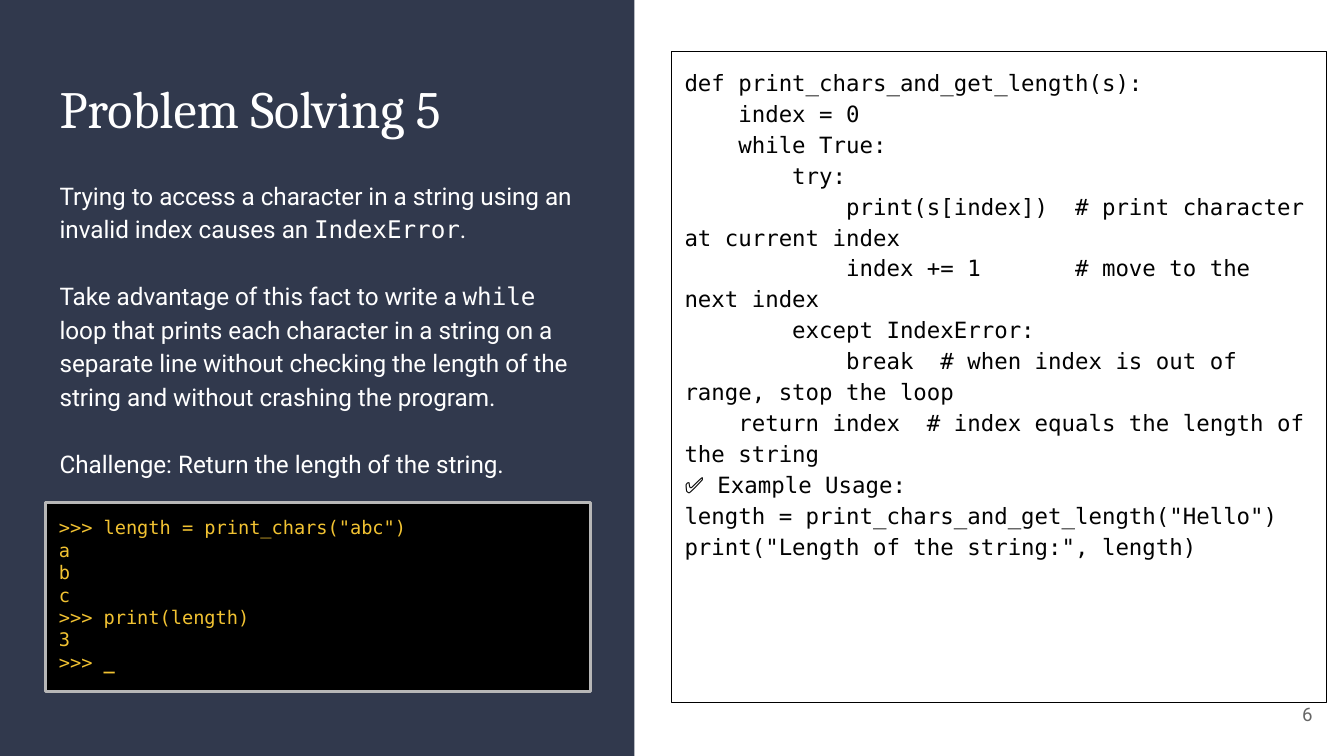
import dataclasses
import typing

import pptx
import pptx.dml.color
import pptx.enum.shapes
import pptx.enum.text
import pptx.util

SCALE = 4572  # EMU per px, 200 px to the inch
WIDE, HIGH = 2000, 1125
PAD = 20
NAVY, WHITE, BLACK = "31394D", "FFFFFF", "000000"
SERIF, SANS, MONO = "Cambria", "Roboto", "DejaVu Sans Mono"
ALIGN = pptx.enum.text.PP_ALIGN
ANCHOR = pptx.enum.text.MSO_ANCHOR


class Run(typing.NamedTuple):
    text: str
    font: str = SANS
    bold: bool = False


Lines = list[list[Run]]


@dataclasses.dataclass
class Panel:
    box: tuple[int, int, int, int]
    lines: Lines
    size: int
    color: str
    fill: str | None = None
    edge: str | None = None
    width: float = 0
    space: float = 1.0
    gap: int = 0
    align: ALIGN = ALIGN.LEFT
    anchor: ANCHOR = ANCHOR.TOP


def px(num: int) -> int:
    return pptx.util.Emu(num * SCALE)


def rgb(code: str) -> pptx.dml.color.RGBColor:
    return pptx.dml.color.RGBColor.from_string(code)


def code(text: str) -> Lines:
    """Turn a listing into one monospaced run per line."""
    return [[Run(line, MONO)] for line in text.strip("\n").split("\n")]


def write(frame, panel: Panel) -> None:
    frame.word_wrap = True
    frame.vertical_anchor = panel.anchor
    frame.margin_left = frame.margin_right = px(PAD)
    frame.margin_top = frame.margin_bottom = px(PAD)
    for i, line in enumerate(panel.lines):
        para = frame.add_paragraph() if i else frame.paragraphs[0]
        para.alignment = panel.align
        para.line_spacing = panel.space
        para.space_before = pptx.util.Pt(panel.gap if i else 0)
        for part in line:
            run = para.add_run()
            run.text = part.text
            run.font.name = part.font
            run.font.size = pptx.util.Pt(panel.size)
            run.font.bold = part.bold
            run.font.color.rgb = rgb(panel.color)


def draw(slide, panel: Panel) -> None:
    box = [px(num) for num in panel.box]
    if panel.fill or panel.edge:
        rect = pptx.enum.shapes.MSO_SHAPE.RECTANGLE
        shape = slide.shapes.add_shape(rect, *box)
        shape.shadow.inherit = False
    else:
        shape = slide.shapes.add_textbox(*box)
    if panel.fill:
        shape.fill.solid()
        shape.fill.fore_color.rgb = rgb(panel.fill)
    else:
        shape.fill.background()
    if panel.edge:
        shape.line.color.rgb = rgb(panel.edge)
        shape.line.width = pptx.util.Pt(panel.width)
    else:
        shape.line.fill.background()
    if panel.lines:
        write(shape.text_frame, panel)


TASK = [
    [
        Run("Trying to access a character in a string using an invalid index causes an "),
        Run("IndexError", MONO),
        Run("."),
    ],
    [
        Run("Take advantage of this fact to write a "),
        Run("while", MONO),
        Run(
            " loop that prints each character in a string on a separate line "
            "without checking the length of the string and without crashing the program."
        ),
    ],
    [Run("Challenge: Return the length of the string.")],
]

ANSWER = code('''
def print_chars_and_get_length(s):
    index = 0
    while True:
        try:
            print(s[index])  # print character at current index
            index += 1       # move to the next index
        except IndexError:
            break  # when index is out of range, stop the loop
    return index  # index equals the length of the string
✅ Example Usage:
length = print_chars_and_get_length("Hello")
print("Length of the string:", length)
''')

SHELL = code('''
>>> length = print_chars("abc")
a
b
c
>>> print(length)
3
''') + [[Run(">>> ", MONO), Run("_", MONO, True)]]

PANELS = [
    Panel((0, 0, 944, HIGH), [], 12, WHITE, fill=NAVY),
    Panel((69, 93, 810, 140), [[Run("Problem Solving 5", SERIF)]], 28, WHITE),
    Panel((1853, 1020, 120, 86), [[Run("6")]], 10, "666666",
          align=ALIGN.RIGHT, anchor=ANCHOR.MIDDLE),
    Panel((69, 249, 810, 476), TASK, 13, WHITE,
          space=1.15, gap=18, anchor=ANCHOR.MIDDLE),
    Panel((999, 77, 975, 969), ANSWER, 12, "020202",
          edge=BLACK, width=0.75, space=1.15),
    Panel((68, 748, 811, 281), SHELL, 10, "F1C232",
          fill=BLACK, edge="B7B7B7", width=1.5),
]


def main() -> None:
    deck = pptx.Presentation()
    deck.slide_width, deck.slide_height = px(WIDE), px(HIGH)
    slide = deck.slides.add_slide(deck.slide_layouts[6])
    for panel in PANELS:
        draw(slide, panel)
    deck.save("out.pptx")


if __name__ == "__main__":
    main()
